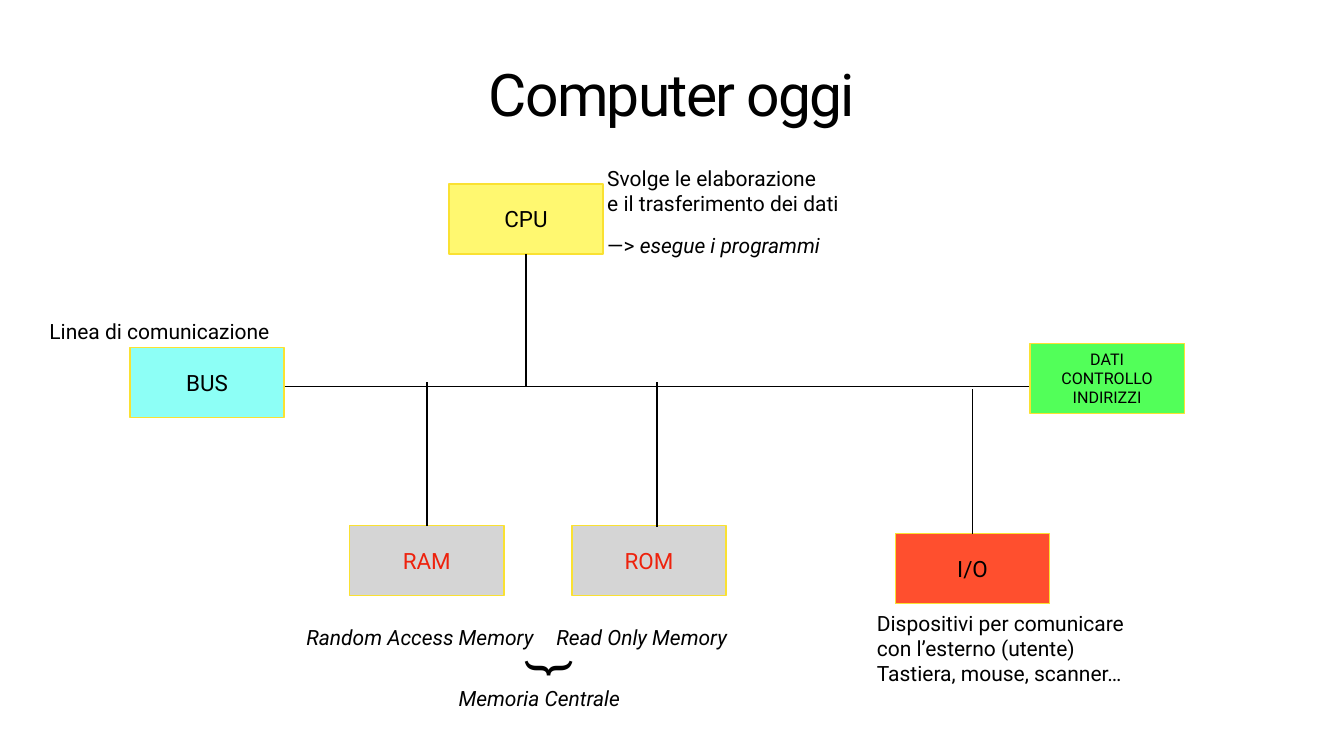
from lxml import etree
from pptx import Presentation
from pptx.dml.color import RGBColor
from pptx.enum.shapes import MSO_CONNECTOR, MSO_SHAPE
from pptx.enum.text import MSO_ANCHOR, MSO_AUTO_SIZE, PP_ALIGN
from pptx.oxml.ns import qn
from pptx.util import Inches, Pt

STRAIGHT = MSO_CONNECTOR.STRAIGHT
RECTANGLE = MSO_SHAPE.RECTANGLE
MIDDLE, BOTTOM = MSO_ANCHOR.MIDDLE, MSO_ANCHOR.BOTTOM
NO_FIT, GROW = MSO_AUTO_SIZE.NONE, MSO_AUTO_SIZE.SHAPE_TO_FIT_TEXT
LEFT, CENTER = PP_ALIGN.LEFT, PP_ALIGN.CENTER
TOP_SIDE, BOTTOM_SIDE = 0, 2

COLORS = {
    "black": "000000",
    "red": "EE220D",
    "border": "FAE132",
    "bus": "8DFFF6",
    "memory": "D5D5D5",
    "cpu": "FFF870",
    "devices": "FF4F2E",
    "signals": "52FF59",
}
BOX_WIDTH, BOX_HEIGHT = 3.06, 1.39
MEMORY_TOP = 10.43
CAPTION_TOP = 12.32
BUS_Y = 7.67


def color(name):
    return RGBColor.from_string(COLORS[name])


class DiagramSlide:
    """Holds the text style and the current slide."""

    font = "Roboto"
    inset = Inches(0.06)
    line_width = Pt(2)

    def __init__(self, page):
        self.page = page

    def set_frame(self, frame, anchor, fit, wrap):
        frame.margin_left = frame.margin_right = self.inset
        frame.margin_top = frame.margin_bottom = self.inset
        frame.vertical_anchor = anchor
        frame.auto_size = fit
        frame.word_wrap = wrap

    def style(self, para, size, ink="black", align=LEFT, italic=False):
        para.alignment = align
        for span in para.runs:
            span.font.name = self.font
            span.font.size = Pt(size)
            span.font.italic = italic
            span.font.color.rgb = color(ink)

    def title(self, text, left, top, width, height):
        box = self.page.shapes.title
        box.left, box.top = Inches(left), Inches(top)
        box.width, box.height = Inches(width), Inches(height)
        self.set_frame(box.text_frame, BOTTOM, NO_FIT, True)
        box.text_frame.text = text
        para = box.text_frame.paragraphs[0]
        para.line_spacing = 0.8
        self.style(para, 84, align=CENTER)
        for span in para.runs:
            span._r.get_or_add_rPr().set("spc", "-250")

    def block(self, text, left, top, fill, ink="black", size=32):
        box = self.page.shapes.add_shape(
            RECTANGLE, Inches(left), Inches(top), Inches(BOX_WIDTH), Inches(BOX_HEIGHT))
        box.shadow.inherit = False
        box.fill.solid()
        box.fill.fore_color.rgb = color(fill)
        box.line.color.rgb = color("border")
        box.line.width = self.line_width
        self.set_frame(box.text_frame, MIDDLE, NO_FIT, True)
        box.text_frame.text = text
        for para in box.text_frame.paragraphs:
            self.style(para, size, ink, CENTER)
        return box

    def line(self, start, end):
        wire = self.page.shapes.add_connector(STRAIGHT, *map(Inches, start + end))
        wire.line.color.rgb = color("black")
        wire.line.width = self.line_width
        etree.SubElement(wire._element.spPr, qn("a:effectLst"))
        return wire

    def note(self, text, left, top, width, height, size=30, italic=False):
        box = self.page.shapes.add_textbox(
            Inches(left), Inches(top), Inches(width), Inches(height))
        frame = box.text_frame
        self.set_frame(frame, MIDDLE, GROW, False)
        frame.text = text
        for para in frame.paragraphs:
            para.space_before = Pt(24)
            self.style(para, size, italic=italic)
        return box


def main():
    deck = Presentation()
    deck.slide_width, deck.slide_height = Inches(26.67), Inches(15)
    slide = DiagramSlide(deck.slides.add_slide(deck.slide_layouts[5]))
    slide.title("Computer oggi", 1.39, 0.89, 23.89, 1.7)

    # Components
    slide.block("BUS", 2.58, 6.89, "bus")
    slide.block("ROM", 11.35, MEMORY_TOP, "memory", "red")
    cpu = slide.block("CPU", 8.91, 3.65, "cpu")
    ram = slide.block("RAM", 6.94, MEMORY_TOP, "memory", "red")
    devices = slide.block("I/O", 17.77, 10.59, "devices")
    slide.block("DATI\nCONTROLLO\nINDIRIZZI", 20.44, 6.81, "signals", size=23)

    # Bus line and its branches
    slide.line((5.65, BUS_Y), (20.42, BUS_Y))
    slide.line((10.44, BUS_Y), (10.44, 5.04)).end_connect(cpu, BOTTOM_SIDE)
    slide.line((19.3, 10.59), (19.3, 7.72)).begin_connect(devices, TOP_SIDE)
    slide.line((8.47, MEMORY_TOP), (8.47, 7.58)).begin_connect(ram, TOP_SIDE)
    slide.line((13.04, 10.45), (13.04, 7.58))

    # Explanations
    cpu_note = slide.note(
        "Svolge le elaborazione \ve il trasferimento dei dati\n—> ", 11.99, 3.14, 4.99, 2.11)
    task = cpu_note.text_frame.paragraphs[1]
    task.add_run().text = "esegue i programmi"
    slide.style(task, 30)
    task.runs[1].font.italic = True
    slide.note("Linea di comunicazione", 0.92, 6.24, 4.73, 0.66)
    slide.note("Dispositivi per comunicare\vcon l’esterno (utente)\vTastiera, mouse, scanner…",
               17.34, 11.97, 5.32, 1.77)

    # Memory captions, joined by a brace
    slide.note("Random Access Memory", 6.02, CAPTION_TOP, 4.89, 0.66, italic=True)
    slide.note("Read Only Memory", 10.98, CAPTION_TOP, 3.8, 0.66, italic=True)
    slide.note("{", 10.54, 12.55, 0.5, 1.42, size=71).rotation = 270
    slide.note("Memoria Centrale", 9.04, 13.53, 3.58, 0.66, italic=True)

    deck.save("out.pptx")


if __name__ == "__main__":
    main()
